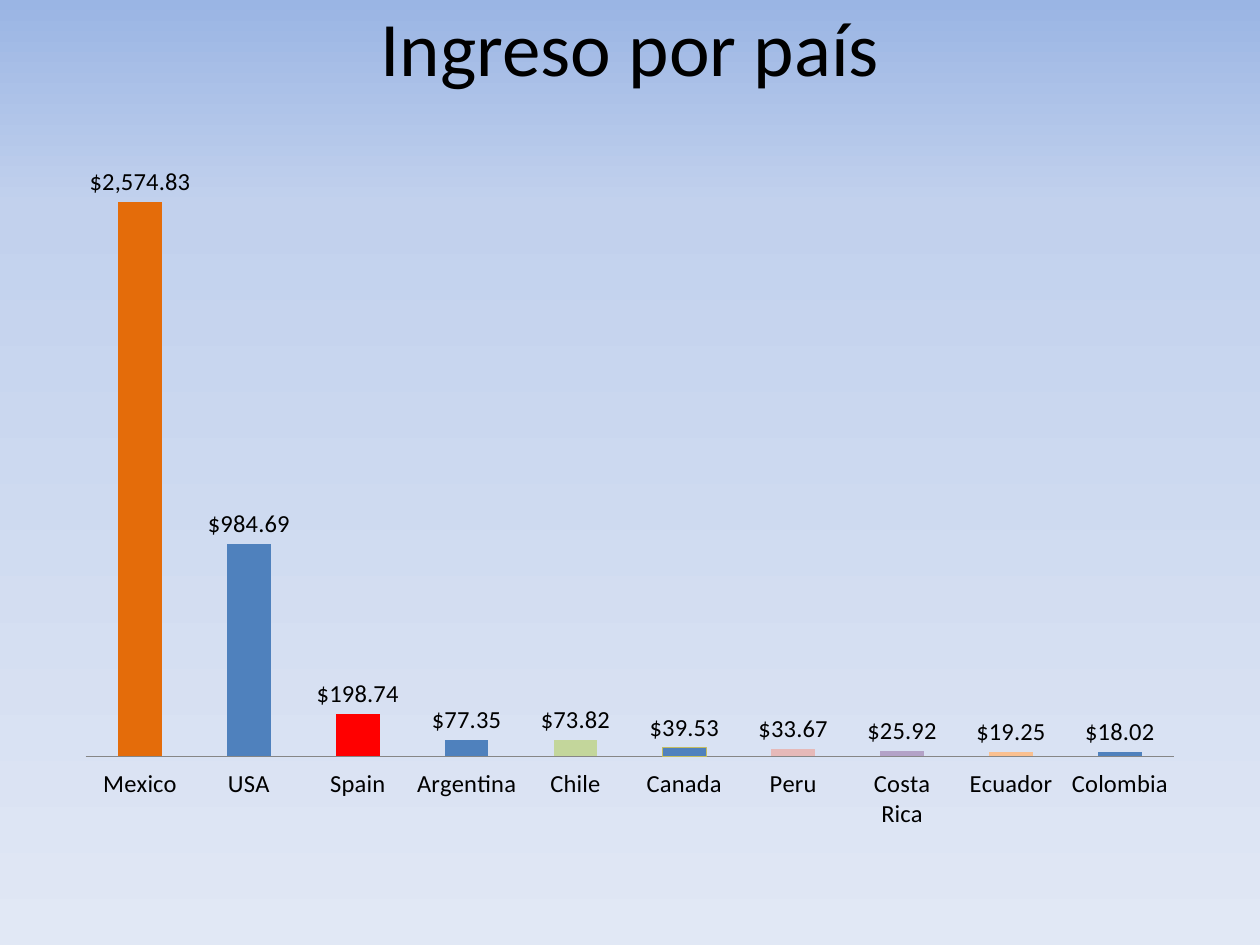
from copy import deepcopy

from pptx import Presentation
from pptx.chart.data import CategoryChartData
from pptx.dml.color import RGBColor
from pptx.enum.chart import XL_CHART_TYPE, XL_LABEL_POSITION, XL_TICK_LABEL_POSITION, XL_TICK_MARK
from pptx.enum.text import MSO_ANCHOR, PP_ALIGN
from pptx.util import Pt

COLORS = {
    "text": "000000", "bar": "4F81BD", "axis": "868686", "olive": "C4BD60",
    "orange": "E46C0A", "red": "FF0000", "green": "C3D69B",
    "pink": "E6B9B8", "purple": "B3A2C7", "peach": "FAC090",
    "sky_top": "9AB5E4", "sky_mid": "C2D1ED", "sky_low": "E1E8F5",
}
MONEY = '"$"#,##0.00'
INCOME = {
    "Mexico": 2574.83, "USA": 984.69, "Spain": 198.74, "Argentina": 77.35,
    "Chile": 73.82, "Canada": 39.53, "Peru": 33.67, "Costa Rica": 25.92,
    "Ecuador": 19.25, "Colombia": 18.02,
}
HIGHLIGHTS = {
    "Mexico": "orange", "Spain": "red", "Chile": "green",
    "Peru": "pink", "Costa Rica": "purple", "Ecuador": "peach",
}


def rgb(name):
    return RGBColor.from_string(COLORS[name])


def apply(obj, **values):
    for name, value in values.items():
        setattr(obj, name, value)


class Deck:
    font = "Calibri"

    def __init__(self, prs):
        self.s = prs.slides.add_slide(prs.slide_layouts[5])

    def style(self, font, size):
        apply(font, name=self.font, size=Pt(size))
        font.color.rgb = rgb("text")

    def background(self, stops):
        fill = self.s.background.fill
        fill.gradient()
        fill.gradient_angle = 270
        first = fill.gradient_stops[0]
        first.color.rgb = rgb("text")
        gs = self.s.background._cSld.xpath(".//a:gs")[0]
        gs.addnext(deepcopy(gs))
        for stop, (position, color) in zip(fill.gradient_stops, stops):
            stop.position = position
            stop.color.rgb = rgb(color)

    def title(self, text, left, top, width, height):
        sp = self.s.shapes.title
        apply(sp, left=Pt(left), top=Pt(top), width=Pt(width), height=Pt(height))
        tf = sp.text_frame
        apply(tf, text=text, word_wrap=True, vertical_anchor=MSO_ANCHOR.MIDDLE)
        p = tf.paragraphs[0]
        p.alignment = PP_ALIGN.CENTER
        self.style(p.runs[0].font, 44)

    def columns(self, values, highlights, left, top, width, height):
        data = CategoryChartData(number_format=MONEY)
        data.categories = list(values)
        data.add_series("Series 1", list(values.values()))
        chart = self.s.shapes.add_chart(
            XL_CHART_TYPE.COLUMN_CLUSTERED,
            Pt(left), Pt(top), Pt(width), Pt(height), data).chart
        apply(chart, has_legend=False, has_title=False)
        self.style(chart.font, 10)

        apply(chart.value_axis, visible=False, has_major_gridlines=False,
              minimum_scale=0, maximum_scale=3000)
        axis = chart.category_axis
        apply(axis, major_tick_mark=XL_TICK_MARK.NONE, minor_tick_mark=XL_TICK_MARK.NONE,
              tick_label_position=XL_TICK_LABEL_POSITION.LOW)
        axis.format.line.color.rgb = rgb("axis")
        axis.format.line.width = Pt(0.75)
        self.style(axis.tick_labels.font, 14)

        plot = chart.plots[0]
        apply(plot, gap_width=150, overlap=-25, vary_by_categories=False)
        series = plot.series[0]
        series.format.fill.solid()
        series.format.fill.fore_color.rgb = rgb("bar")
        labels = series.data_labels
        apply(labels, show_value=True, number_format=MONEY,
              number_format_is_linked=False, position=XL_LABEL_POSITION.OUTSIDE_END)
        self.style(labels.font, 14)

        countries = list(values)
        for country, color in highlights.items():
            fill = series.points[countries.index(country)].format.fill
            fill.solid()
            fill.fore_color.rgb = rgb(color)
        canada = series.points[countries.index("Canada")].format
        canada.fill.solid()
        canada.fill.fore_color.rgb = rgb("bar")
        canada.line.color.rgb = rgb("olive")
        canada.line.width = Pt(0.5)


def main():
    prs = Presentation()
    apply(prs, slide_width=Pt(720), slide_height=Pt(540))
    deck = Deck(prs)
    deck.background([(0, "sky_top"), (0.22, "sky_mid"), (1, "sky_low")])
    deck.title("Ingreso por país", 36, -18.72, 648, 90)
    deck.columns(INCOME, HIGHLIGHTS, 36, 54.72, 648, 427.68)
    prs.save("out.pptx")


if __name__ == "__main__":
    main()
